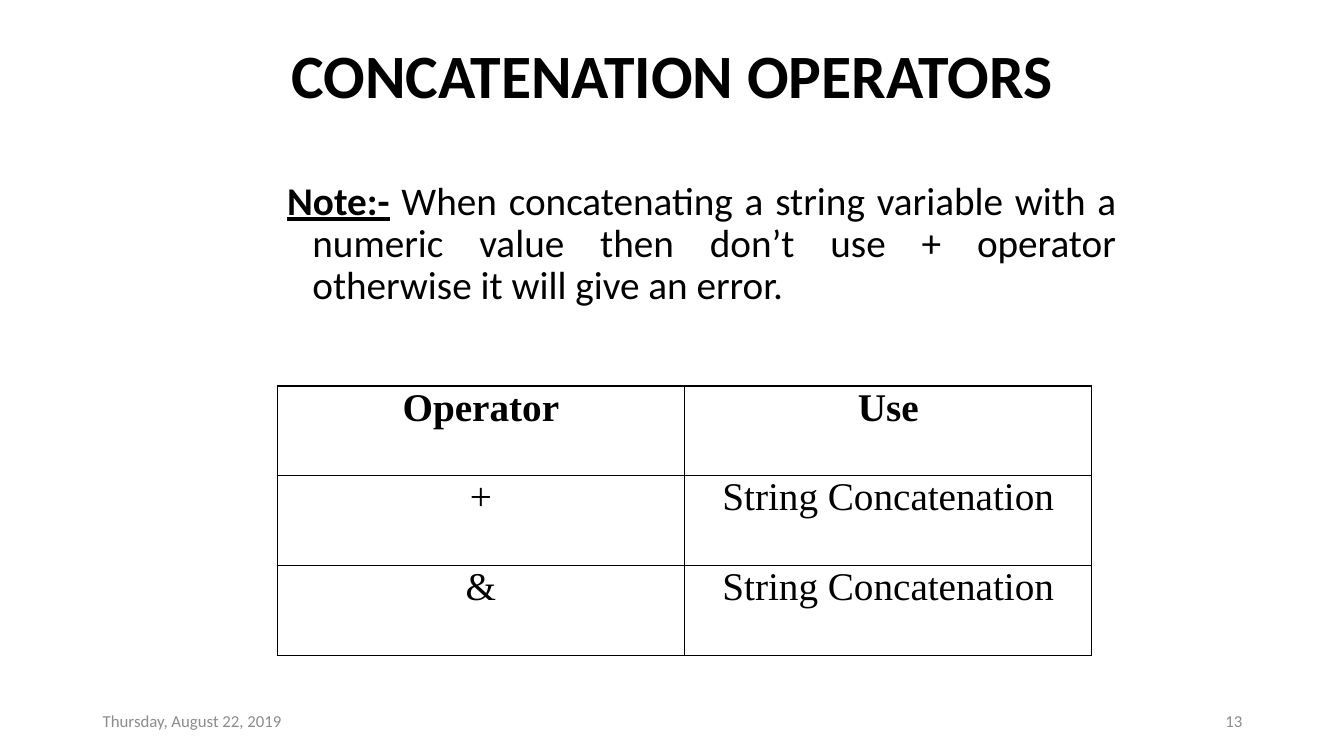
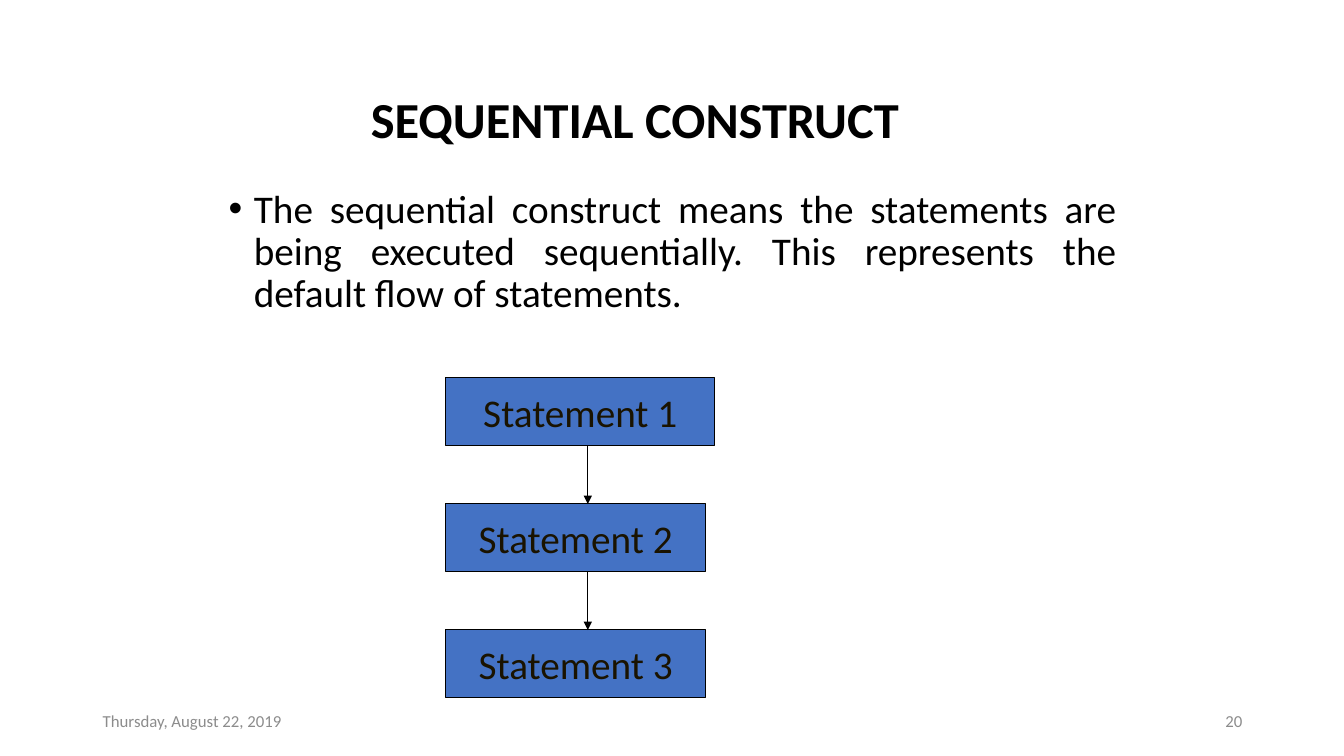
from dataclasses import dataclass

from lxml.etree import SubElement
from pptx import Presentation
from pptx.dml.color import RGBColor
from pptx.enum.shapes import MSO_CONNECTOR as Connector, MSO_SHAPE as Shape
from pptx.enum.text import MSO_ANCHOR as Anchor, PP_ALIGN as Align
from pptx.oxml.ns import qn
from pptx.util import Inches, Pt


@dataclass(frozen=True)
class Theme:
    ink: str = "000000"
    muted: str = "8C8C8C"
    box_fill: str = "4472C4"
    box_ink: str = "1A1300"
    font: str = "Calibri"
    table_font: str = "Times New Roman"
    body_size: int = 28
    footer_size: int = 12
    line_width: float = 0.75
    border_width: float = 1
    line_spacing: float = 0.9
    hanging: float = 0.25


THEME = Theme()
DATE = "Thursday, August 22, 2019"


def color(value):
    return RGBColor.from_string(value)


def write(para, text, *, size=THEME.body_size, ink=THEME.ink, font=THEME.font,
          bold=False, underline=False, align=None):
    """Append one formatted span to a paragraph."""
    span = para.add_run()
    span.text = text
    span.font.size = Pt(size)
    span.font.name = font
    span.font.bold = bold
    span.font.underline = underline
    span.font.color.rgb = color(ink)
    if align is not None:
        para.alignment = align


def add_text_box(slide, left, top, width, height, anchor=Anchor.MIDDLE):
    """Add a wrapping text box and return its first paragraph."""
    box = slide.shapes.add_textbox(Inches(left), Inches(top), Inches(width), Inches(height))
    frame = box.text_frame
    frame.word_wrap = True
    frame.vertical_anchor = anchor
    return frame.paragraphs[0]


def add_title(slide, text, place, size, align, anchor=Anchor.MIDDLE):
    para = add_text_box(slide, *place, anchor=anchor)
    para.line_spacing = THEME.line_spacing
    write(para, text, size=size, bold=True, align=align)


def add_body(slide, place, bullet=None):
    """Add a justified paragraph with a hanging indent."""
    para = add_text_box(slide, *place, anchor=Anchor.TOP)
    properties = para._p.get_or_add_pPr()
    properties.set("marL", str(Inches(THEME.hanging)))
    properties.set("indent", str(-Inches(THEME.hanging)))
    if bullet:
        SubElement(properties, qn("a:buFont"), typeface="Arial")
        SubElement(properties, qn("a:buChar"), char=bullet)
    para.line_spacing = THEME.line_spacing
    para.alignment = Align.JUSTIFY
    return para


def add_footer(slide, number):
    for text, left, align in ((DATE, 0.92, Align.LEFT), (str(number), 9.42, Align.RIGHT)):
        para = add_text_box(slide, left, 6.95, 3, 0.4)
        write(para, text, size=THEME.footer_size, ink=THEME.muted, align=align)


def draw_borders(cell):
    properties = cell._tc.get_or_add_tcPr()
    for side in ("lnL", "lnR", "lnT", "lnB"):
        line = SubElement(properties, qn(f"a:{side}"), w=str(Pt(THEME.border_width)))
        fill = SubElement(line, qn("a:solidFill"))
        SubElement(fill, qn("a:srgbClr"), val=THEME.ink)


def add_grid(slide, rows, left, top, width, height):
    """Add a plain bordered table whose first row is bold."""
    table = slide.shapes.add_table(len(rows), len(rows[0]), Inches(left), Inches(top),
                                   Inches(width), Inches(height)).table
    table.horz_banding = False
    for row_index, row in enumerate(rows):
        for column_index, text in enumerate(row):
            cell = table.cell(row_index, column_index)
            cell.margin_left = cell.margin_right = Inches(0.06)
            cell.margin_top = cell.margin_bottom = 0
            draw_borders(cell)
            cell.fill.background()
            write(cell.text_frame.paragraphs[0], text, font=THEME.table_font,
                  bold=row_index == 0, align=Align.CENTER)


def add_statement(slide, text, left, top, width, height):
    box = slide.shapes.add_shape(Shape.RECTANGLE, Inches(left), Inches(top),
                                 Inches(width), Inches(height))
    box.shadow.inherit = False
    box.fill.solid()
    box.fill.fore_color.rgb = color(THEME.box_fill)
    box.line.color.rgb = color(THEME.ink)
    box.line.width = Pt(THEME.line_width)
    frame = box.text_frame
    frame.word_wrap = False
    frame.vertical_anchor = Anchor.MIDDLE
    write(frame.paragraphs[0], text, ink=THEME.box_ink, align=Align.CENTER)


def add_down_arrow(slide, x, start, end):
    arrow = slide.shapes.add_connector(Connector.STRAIGHT, Inches(x), Inches(start),
                                       Inches(x), Inches(end))
    arrow.line.color.rgb = color(THEME.ink)
    arrow.line.width = Pt(THEME.line_width)
    SubElement(arrow.line._get_or_add_ln(), qn("a:tailEnd"), type="triangle")
    SubElement(arrow._element.spPr, qn("a:effectLst"))


def add_flow(slide, widths, left, top, height, pitch, arrow_x):
    """Stack numbered statements, with an arrow between neighbours."""
    for index, width in enumerate(widths):
        box_top = top + index * pitch
        add_statement(slide, f"Statement {index + 1}", left, box_top, width, height)
        if index:
            add_down_arrow(slide, arrow_x, box_top - pitch + height, box_top)


def build_concatenation(slide):
    add_title(slide, "CONCATENATION OPERATORS", (0.92, 0.4, 11.5, 1.45), 44,
              Align.CENTER, Anchor.TOP)
    note = add_body(slide, (2.75, 1.75, 8.42, 1.83))
    write(note, "Note:-", bold=True, underline=True)
    write(note, " When concatenating a string variable with a numeric value then "
                "don’t use + operator otherwise it will give an error.")
    rows = [("Operator", "Use"), ("+", "String Concatenation"), ("&", "String Concatenation")]
    add_grid(slide, rows, 2.75, 3.83, 8.08, 2.67)
    add_footer(slide, 13)


def build_sequential(slide):
    add_title(slide, "SEQUENTIAL CONSTRUCT", (3.58, 0.5, 6.92, 1.42), 36, Align.LEFT)
    body = add_body(slide, (2.17, 1.83, 9, 5.33), bullet="•")
    write(body, "The sequential construct means the statements are being executed "
                "sequentially. This represents the default flow of statements.")
    add_flow(slide, (2.67, 2.58, 2.58), left=4.42, top=3.75, height=0.67,
             pitch=1.25, arrow_x=5.83)
    add_footer(slide, 20)


def main():
    deck = Presentation()
    deck.slide_width, deck.slide_height = Inches(13.33), Inches(7.5)
    for build in (build_concatenation, build_sequential):
        build(deck.slides.add_slide(deck.slide_layouts[6]))
    deck.save("out.pptx")


if __name__ == "__main__":
    main()
